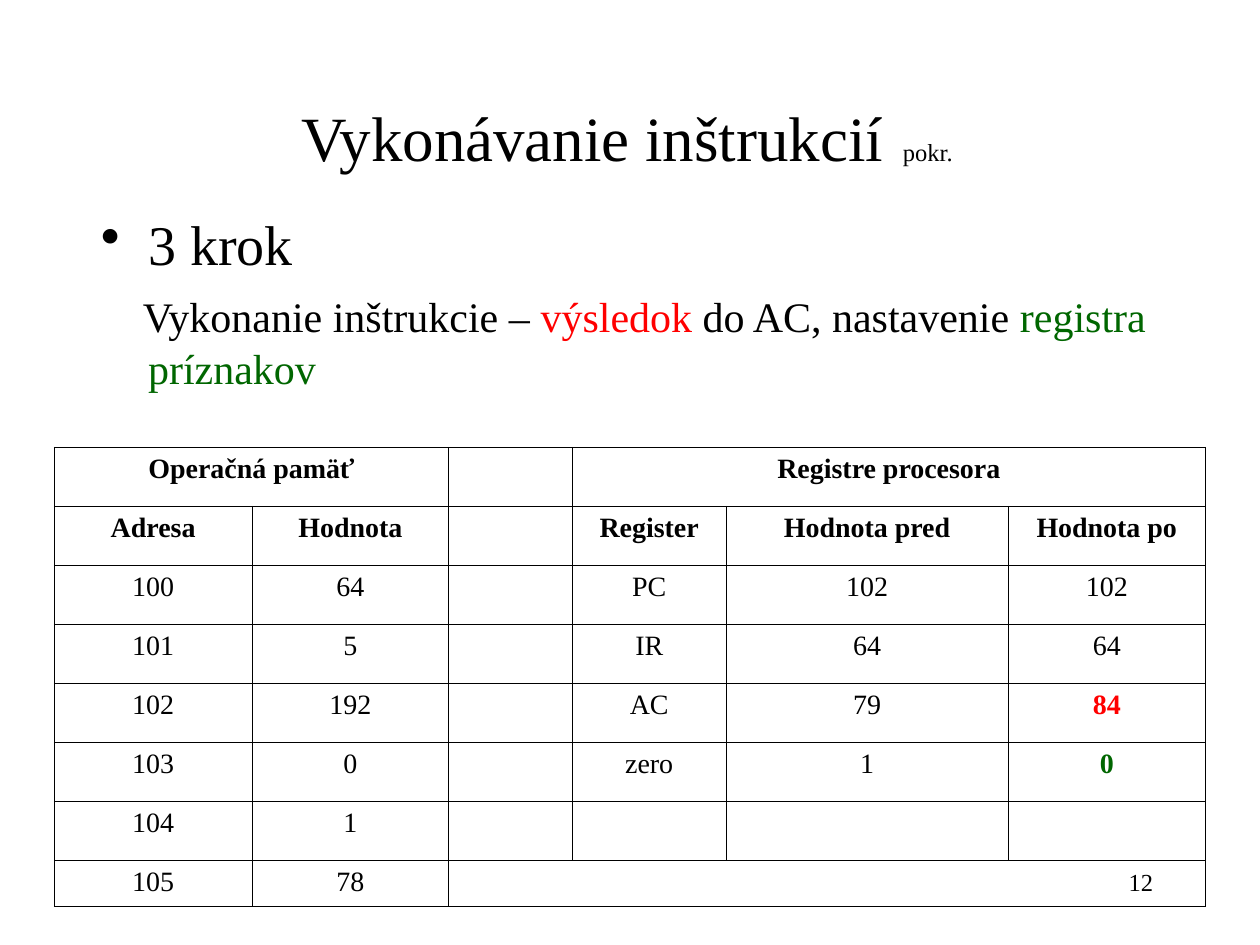
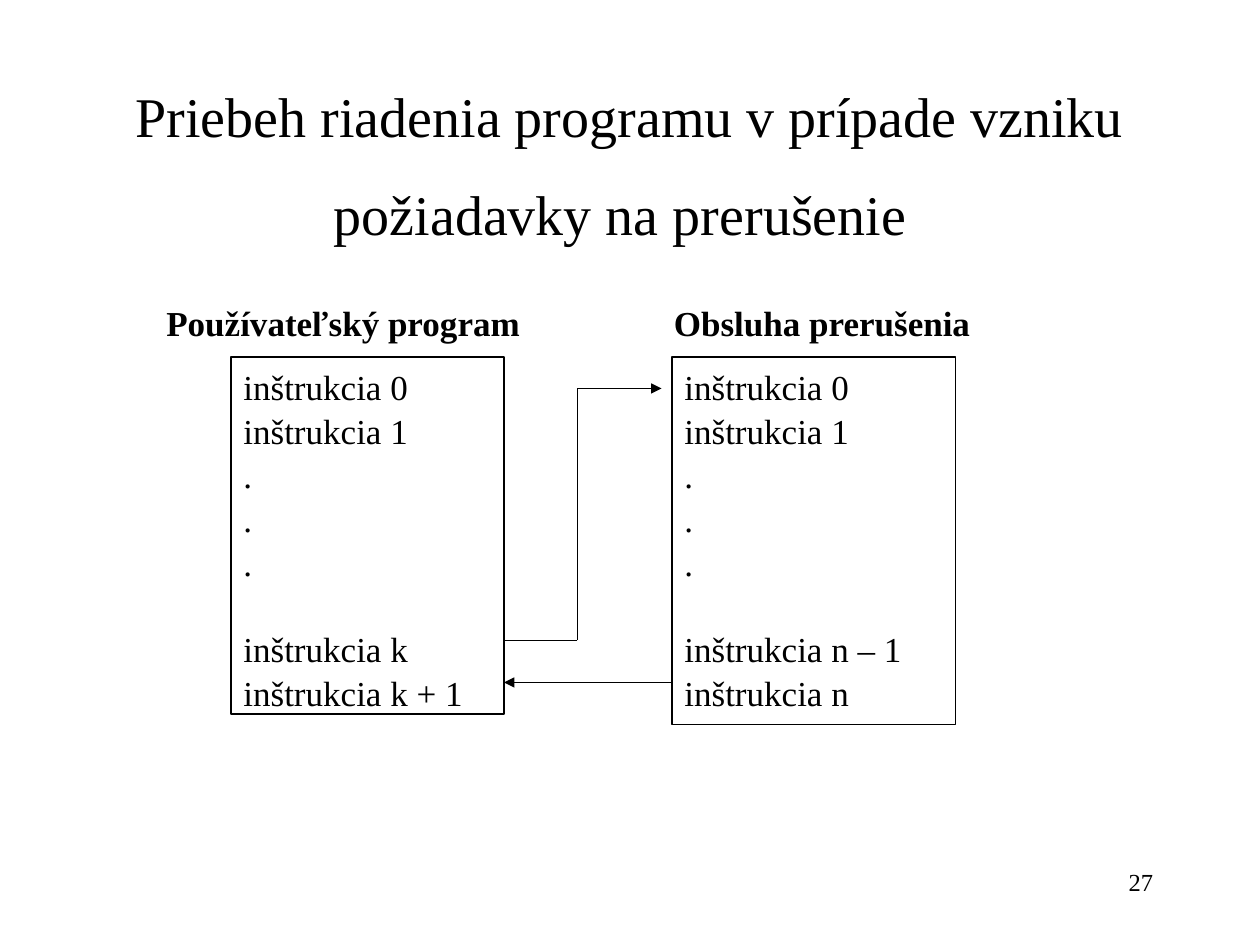
from itertools import pairwise

from pptx import Presentation
from pptx.dml.color import RGBColor
from pptx.enum.shapes import MSO_CONNECTOR, MSO_SHAPE
from pptx.enum.text import MSO_ANCHOR, MSO_AUTO_SIZE, PP_ALIGN
from pptx.oxml.ns import qn
from pptx.util import Pt
from lxml import etree

STRAIGHT = MSO_CONNECTOR.STRAIGHT
RECTANGLE = MSO_SHAPE.RECTANGLE
TOP, MIDDLE = MSO_ANCHOR.TOP, MSO_ANCHOR.MIDDLE
NO_FIT = MSO_AUTO_SIZE.NONE
LEFT, CENTER, RIGHT = PP_ALIGN.LEFT, PP_ALIGN.CENTER, PP_ALIGN.RIGHT

FONT = "Times New Roman"
BLACK, WHITE, RED, GREEN = "000000", "FFFFFF", "FF0000", "006600"
TITLE_SPACING, TEXT_SPACING = 1.1, 1.05

COLUMN_WIDTHS = [113, 112.5, 70.5, 88, 161, 113]
ROW_HEIGHTS = [33.75] * 7 + [26.25]
TABLE_ROWS = [
    ["Operačná pamäť", "", "", "Registre procesora", "", ""],
    ["Adresa", "Hodnota", "", "Register", "Hodnota pred", "Hodnota po"],
    ["100", "64", "", "PC", "102", "102"],
    ["101", "5", "", "IR", "64", "64"],
    ["102", "192", "", "AC", "79", "84"],
    ["103", "0", "", "zero", "1", "0"],
    ["104", "1", "", "", "", ""],
    ["105", "78", "", "", "", ""],
]
MERGES = [(0, 0, 1), (0, 3, 5), (7, 2, 5)]
HIGHLIGHTS = {(4, 5): RED, (5, 5): GREEN}


def color(value):
    """Turn a hex string into a colour."""
    return RGBColor.from_string(value)


def add_run(para, text, size, ink=BLACK, bold=False):
    """Append one formatted run to a paragraph."""
    span = para.add_run()
    span.text = text
    span.font.name = FONT
    span.font.size = Pt(size)
    span.font.bold = bold
    span.font.color.rgb = color(ink)


def set_bullet(para, left, first, bullet=None):
    """Set a paragraph's indents and its bullet."""
    props = para._p.get_or_add_pPr()
    props.set("marL", str(Pt(left)))
    props.set("indent", str(Pt(first)))
    if bullet:
        etree.SubElement(props, qn("a:buChar")).set("char", bullet)
    else:
        etree.SubElement(props, qn("a:buNone"))


def add_text_box(page, left, top, width, height):
    """Add a wrapping text box and return its frame."""
    frame = page.shapes.add_textbox(Pt(left), Pt(top), Pt(width), Pt(height)).text_frame
    frame.word_wrap = True
    return frame


def add_page(deck, title_height, title_runs, number):
    """Add a page with its title and page number."""
    page = deck.slides.add_slide(deck.slide_layouts[5])
    title = page.shapes.title
    title.left, title.top, title.width, title.height = Pt(54), Pt(48), Pt(612), Pt(title_height)
    frame = title.text_frame
    frame.auto_size = NO_FIT
    frame.word_wrap = True
    frame.vertical_anchor = MIDDLE
    para = frame.paragraphs[0]
    para.alignment = CENTER
    para.line_spacing = TITLE_SPACING
    for text, size in title_runs:
        add_run(para, text, size)

    para = add_text_box(page, 516, 492, 150, 36).paragraphs[0]
    para.alignment = RIGHT
    add_run(para, number, 14)
    return page


def add_step(page, left, top, width, height):
    """Add the bulleted step and its explanation."""
    frame = add_text_box(page, left, top, width, height)
    step = frame.paragraphs[0]
    step.line_spacing = TEXT_SPACING
    set_bullet(step, 27, -27, "•")
    add_run(step, "3 krok", 32)

    detail = frame.add_paragraph()
    detail.line_spacing = TEXT_SPACING
    detail.space_before = Pt(6)
    set_bullet(detail, 27, -3)
    for text, ink in [
        ("Vykonanie inštrukcie – ", BLACK),
        ("výsledok", RED),
        (" do AC, nastavenie ", BLACK),
        ("registra príznakov", GREEN),
    ]:
        add_run(detail, text, 24, ink)


def border_cell(cell):
    """Draw a thin line on all four sides of a cell."""
    props = cell._tc.get_or_add_tcPr()
    for position, side in enumerate(("lnL", "lnR", "lnT", "lnB")):
        line = etree.Element(qn(f"a:{side}"), w=str(Pt(0.45)))
        fill = etree.SubElement(line, qn("a:solidFill"))
        etree.SubElement(fill, qn("a:srgbClr")).set("val", BLACK)
        props.insert(position, line)


def add_register_table(page, left, top):
    """Add the table of memory and registers."""
    table = page.shapes.add_table(
        len(ROW_HEIGHTS), len(COLUMN_WIDTHS), Pt(left), Pt(top),
        Pt(sum(COLUMN_WIDTHS)), Pt(sum(ROW_HEIGHTS)),
    ).table
    table.first_row = table.horz_banding = False
    for column, width in zip(table.columns, COLUMN_WIDTHS):
        column.width = Pt(width)
    for row, height in zip(table.rows, ROW_HEIGHTS):
        row.height = Pt(height)
    for row, first, last in MERGES:
        table.cell(row, first).merge(table.cell(row, last))
    for row, texts in enumerate(TABLE_ROWS):
        for column, text in enumerate(texts):
            cell = table.cell(row, column)
            cell.fill.background()
            border_cell(cell)
            if not text:
                cell.margin_top = cell.margin_bottom = 0
                continue
            para = cell.text_frame.paragraphs[0]
            para.alignment = CENTER
            ink = HIGHLIGHTS.get((row, column), BLACK)
            add_run(para, text, 16, ink, row < 2 or ink != BLACK)


def add_program(page, left, top, width, height, last_steps):
    """Add a box that lists the instructions of one program."""
    shape = page.shapes.add_shape(RECTANGLE, Pt(left), Pt(top), Pt(width), Pt(height))
    shape.shadow.inherit = False
    shape.fill.solid()
    shape.fill.fore_color.rgb = color(WHITE)
    shape.line.color.rgb = color(BLACK)
    shape.line.width = Pt(0.75)
    frame = shape.text_frame
    frame.word_wrap = True
    frame.vertical_anchor = TOP
    first_steps = ["inštrukcia 0", "inštrukcia 1", ".", ".", "."]
    for index, text in enumerate(first_steps + last_steps):
        para = frame.add_paragraph() if index else frame.paragraphs[0]
        para.alignment = LEFT
        para.line_spacing = TEXT_SPACING
        if index == len(first_steps):
            para.space_before = Pt(24)
        add_run(para, text, 20)


def add_path(page, points):
    """Join points with straight lines, the last one ending in an arrowhead."""
    for start, end in pairwise(points):
        line = page.shapes.add_connector(STRAIGHT, *map(Pt, start + end))
        line.line.color.rgb = color(BLACK)
        line.line.width = Pt(0.75)
        etree.SubElement(line._element.spPr, qn("a:effectLst"))
    etree.SubElement(line.line._get_or_add_ln(), qn("a:tailEnd")).set("type", "triangle")


def add_interrupt_flow(page, left, top):
    """Add both programs, their headings and the jumps between them."""
    for offset, width, heading in [
        (-44, 222, "Používateľský program"),
        (246, 257, "Obsluha prerušenia"),
    ]:
        frame = add_text_box(page, left + offset, top - 35.5, width, 32)
        add_run(frame.paragraphs[0], heading, 20, bold=True)

    add_program(page, left, top, 156, 204, ["inštrukcia k", "inštrukcia k + 1"])
    add_program(page, left + 252, top, 162, 210, ["inštrukcia n – 1", "inštrukcia n"])

    call, entry, back = top + 162, top + 18, top + 186
    bend, edge = left + 198, left + 156
    add_path(page, [(edge, call), (bend, call), (bend, entry), (left + 246, entry)])
    add_path(page, [(left + 252, back), (edge, back)])


def main():
    """Build and save the deck."""
    deck = Presentation()
    deck.slide_width, deck.slide_height = Pt(720), Pt(540)

    page = add_page(deck, 48, [("Vykonávanie inštrukcií", 36), (" ", 44), ("pokr. ", 14)], "12")
    add_step(page, 50.5, 114.5, 620, 118)
    add_register_table(page, 31, 255.5)

    title = "Priebeh riadenia programu v prípade vzniku požiadavky na prerušenie"
    page = add_page(deck, 90, [(title, 32), (" ", 44)], "27")
    add_interrupt_flow(page, 132, 204)

    deck.save("out.pptx")


if __name__ == "__main__":
    main()
